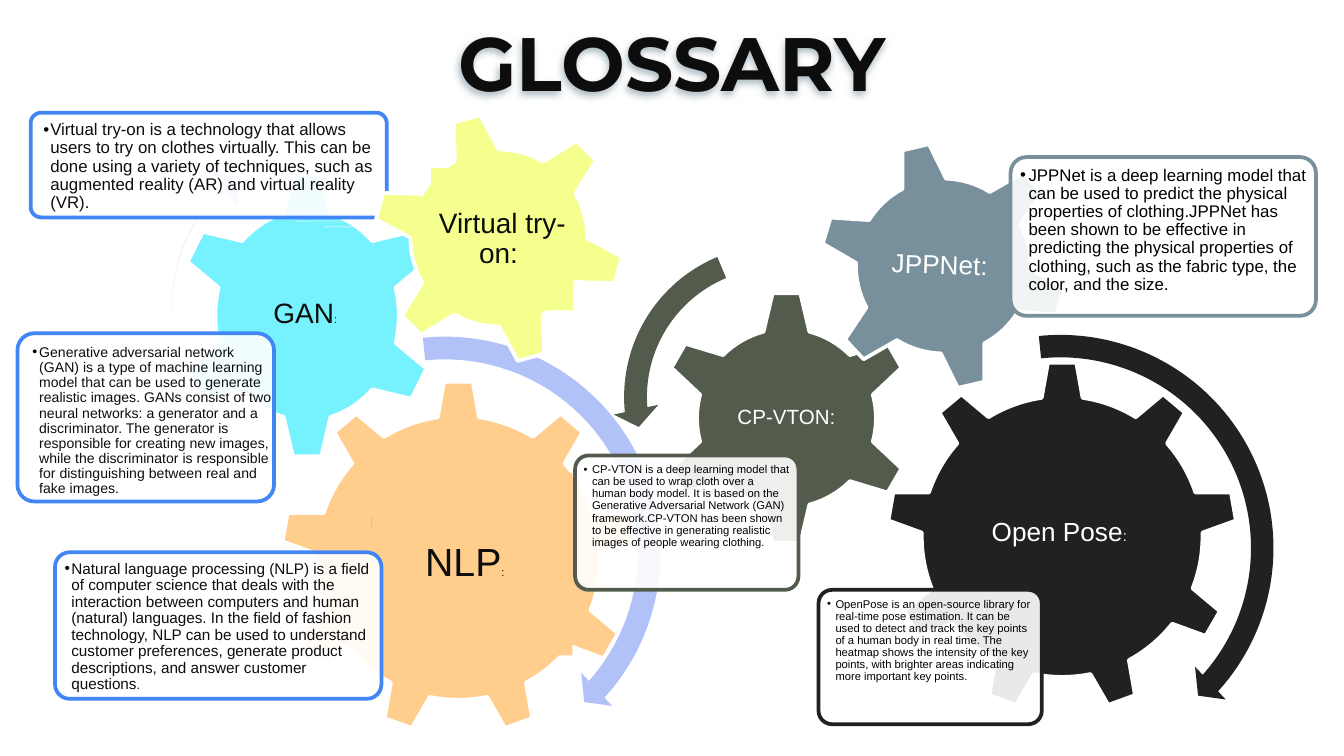
from itertools import chain, repeat

from lxml import etree
from pptx import Presentation
from pptx import util as u
from pptx.dml.color import RGBColor
from pptx.enum import shapes, text
from pptx.oxml import ns

KIND = shapes.MSO_SHAPE
BLUE, INK, BLACK, WHITE = "4285F4", "0D0D0D", "000000", "FFFFFF"
PERIWINKLE, ORANGE, CYAN, YELLOW = "B0C2F8", "FFCD8C", "76F2FF", "F5FF8D"
CHARCOAL, OLIVE, SLATE = "212121", "535B4D", "78909C"


def colour(value):
    return RGBColor.from_string(value)


def apply(target, values):
    for name, value in values.items():
        setattr(target, name, value)


def add_xml(parent, tag, **attributes):
    child = etree.SubElement(parent, ns.qn(tag))
    for name, value in attributes.items():
        child.set(name, str(value))
    return child


def place(shape, box):
    apply(shape, dict(zip(("left", "top", "width", "height"), map(u.Cm, box))))


def add_shape(slide, kind, box, fill, line=None, adjustments=(), rotation=0):
    shape = slide.shapes.add_shape(kind, *map(u.Cm, box))
    apply(shape, {"rotation": rotation})
    shape.shadow.inherit = False
    shape.fill.solid()
    shape.fill.fore_color.rgb = colour(fill)
    if line:
        shape.line.color.rgb = colour(line)
        shape.line.width = u.Pt(2)
    else:
        shape.line.fill.background()
    for index, value in enumerate(adjustments):
        shape.adjustments[index] = value
    return shape


def format_frame(shape, margin, anchor):
    frame = shape.text_frame
    sides = ("left", "top", "right", "bottom")
    apply(frame, {f"margin_{side}": u.Cm(margin) for side in sides})
    apply(frame, {"word_wrap": True, "vertical_anchor": anchor,
                  "auto_size": text.MSO_AUTO_SIZE.NONE})
    return frame


def add_runs(paragraph, runs, font_colour):
    for words, size in runs:
        run = paragraph.add_run()
        run.text = words
        apply(run.font, {"name": "Arial", "size": u.Pt(size), "bold": False})
        run.font.color.rgb = colour(font_colour)


def add_gear(slide, kind, box, fill, label_box, runs, font_colour,
             rotation=0, label_rotation=0):
    """A gear with its name in a box over the hub."""
    add_shape(slide, kind, box, fill, WHITE, rotation=rotation)
    label = add_shape(slide, KIND.RECTANGLE, label_box, fill,
                      rotation=label_rotation)
    if font_colour == WHITE:
        label.fill.background()
    frame = format_frame(label, 0.04, text.MSO_ANCHOR.MIDDLE)
    paragraph = frame.paragraphs[0]
    apply(paragraph, {"alignment": text.PP_ALIGN.CENTER, "line_spacing": 0.9})
    add_runs(paragraph, runs, font_colour)


def add_card(slide, bodies, box, line, text_box, runs, font_colour,
             indent=0.13, margin=0.08):
    """A rounded card with one bulleted definition."""
    card = add_shape(slide, KIND.ROUNDED_RECTANGLE, box, WHITE, line, [0.1])
    fill = card.element.spPr.find(ns.qn("a:solidFill"))
    add_xml(fill[0], "a:alpha", val=90000)

    body = next(bodies) or slide.shapes.add_textbox(0, 0, 0, 0)
    body.element.getparent().append(body.element)  # bring to front
    place(body, text_box)
    frame = format_frame(body, margin, text.MSO_ANCHOR.TOP)
    paragraph = frame.paragraphs[0]
    apply(paragraph, {"level": 1, "line_spacing": 0.9,
                      "alignment": text.PP_ALIGN.LEFT,
                      "space_before": u.Pt(0), "space_after": u.Pt(0)})
    properties = paragraph._p.get_or_add_pPr()
    properties.set("marL", str(u.Cm(indent)))
    properties.set("indent", str(-u.Cm(indent)))
    add_xml(add_xml(properties, "a:buClr"), "a:srgbClr", val=BLACK)
    add_xml(properties, "a:buFont", typeface="Arial")
    add_xml(properties, "a:buChar", char="•")
    add_runs(paragraph, runs, font_colour)


def add_title(slide, words):
    title = slide.shapes.title
    title.element.getparent().append(title.element)
    place(title, (8.1, 0.2, 9.2, 1.93))
    frame = format_frame(title, 0.1, text.MSO_ANCHOR.TOP)
    apply(frame, {"word_wrap": False, "margin_left": u.Cm(0.18),
                  "margin_right": u.Cm(0.18)})
    paragraph = frame.paragraphs[0]
    paragraph.alignment = text.PP_ALIGN.CENTER
    run = paragraph.add_run()
    run.text = words
    apply(run.font, {"name": "Montserrat", "size": u.Pt(40.5), "bold": True})
    run.font.color.rgb = colour(INK)
    # White outline and soft shadow
    properties = run._r.get_or_add_rPr()
    outline = add_xml(properties, "a:ln", w=u.Pt(1.06))
    add_xml(add_xml(outline, "a:solidFill"), "a:srgbClr", val=WHITE)
    properties.insert(0, outline)  # the outline comes before the fill
    effects = add_xml(title.element.spPr, "a:effectLst")
    shadow = add_xml(effects, "a:outerShdw", blurRad=50800, dist=25400,
                     dir=8100000, algn="tr", rotWithShape=0)
    add_xml(add_xml(shadow, "a:srgbClr", val=SLATE), "a:alpha", val=60000)


def main():
    presentation = Presentation()
    apply(presentation, {"slide_width": u.Cm(25.4), "slide_height": u.Cm(14.29)})
    slide = presentation.slides.add_slide(presentation.slide_layouts[4])
    # Four body placeholders, then text boxes for the remaining cards
    bodies = chain(list(slide.placeholders)[1:], repeat(None))
    sweep = [0.05, 2.99, 25.2, 158.53, 0.05]
    left_sweep = [0.07, 4.3, 104.89, 148.38, 0.07]

    # Language processing
    add_shape(slide, KIND.CIRCULAR_ARROW, (2.79, 2.36, 6.73, 6.73), PERIWINKLE,
              adjustments=[0, 3.94, 137.11, 105.08, 0.07])
    add_gear(slide, KIND.GEAR_9, (5.31, 7.19, 6.71, 6.71), ORANGE,
             (6.81, 8.94, 4.01, 3.45), [("NLP", 21), (": ", 6)], INK)
    add_card(slide, bodies, (1.04, 10.44, 6.17, 2.77), BLUE,
             (1.14, 10.52, 5.94, 2.59),
             [("Natural language processing (NLP) is a field of computer science that deals with the interaction between computers and human (natural) languages. In the field of fashion technology, NLP can be used to understand customer preferences, generate product descriptions, and answer customer questions", 8.2), (".", 6.8)], INK)

    # Adversarial networks
    add_gear(slide, KIND.GEAR_6, (3.33, 3.23, 4.95, 5.46), CYAN,
             (4.57, 4.6, 2.46, 2.69), [("GAN", 15), (": ", 6)], INK)
    add_card(slide, bodies, (0.33, 6.3, 4.85, 3.18), BLUE,
             (0.53, 6.45, 4.7, 3),
             [("Generative adversarial network (GAN) is a type of machine learning model that can be used to generate realistic images. GANs consist of two neural networks: a generator and a discriminator. The generator is responsible for creating new images, while the discriminator is responsible for distinguishing between real and fake images.", 7.5)], INK)

    # Virtual try-on card; its gear is added last, in front
    add_card(slide, bodies, (0.58, 2.13, 6.73, 1.98), BLUE,
             (0.74, 2.21, 6.48, 1.85),
             [("Virtual try-on is a technology that allows users to try on clothes virtually. This can be done using a variety of techniques, such as augmented reality (AR) and virtual reality (VR).", 9)], INK)
    add_shape(slide, KIND.CIRCULAR_ARROW, (4.11, 6.15, 8.59, 8.59), PERIWINKLE,
              adjustments=sweep)
    add_shape(slide, KIND.LEFT_CIRCULAR_ARROW, (7.01, 8.86, 0.18, 2.21),
              PERIWINKLE, adjustments=[0.07, 0, 104.89, 148.38, 0.07])

    # Pose estimation
    add_gear(slide, KIND.GEAR_9, (16.76, 6.83, 6.63, 6.63), CHARCOAL,
             (18.08, 8.38, 3.96, 3.4), [("Open Pose", 14), (": ", 8)], WHITE)
    add_card(slide, bodies, (15.47, 11.15, 4.22, 2.54), CHARCOAL,
             (15.55, 11.23, 4.06, 2.39),
             [("OpenPose is an open-source library for real-time pose estimation. It can be used to detect and track the key points of a human body in real time. The heatmap shows the intensity of the key points, with brighter areas indicating more important key points.", 6)], BLACK, 0.16)

    # Cloth warping
    add_gear(slide, KIND.GEAR_6, (12.45, 5.49, 4.83, 4.83), OLIVE,
             (13.67, 6.71, 2.39, 2.39), [("CP-VTON:", 11)], WHITE)
    add_card(slide, bodies, (10.87, 8.61, 4.22, 2.54), OLIVE,
             (10.95, 8.69, 4.06, 2.39),
             [("CP-VTON is a deep learning model that can be used to wrap cloth over a human body model. It is based on the Generative Adversarial Network (GAN) framework.CP-VTON has been shown to be effective in generating realistic images of people wearing clothing.", 6)], BLACK, 0.16)

    # Clothing properties
    add_gear(slide, KIND.GEAR_6, (15.47, 2.67, 4.72, 4.72), SLATE,
             (16.51, 3.71, 2.64, 2.64), [("JPPNet: ", 14)], WHITE, 346.9, 1.9)
    add_card(slide, bodies, (19.1, 2.97, 5.77, 3), SLATE,
             (19.18, 3.05, 5.61, 2.82),
             [("JPPNet is a deep learning model that can be used to predict the physical properties of clothing.JPPNet has been shown to be effective in predicting the physical properties of clothing, such as the fabric type, the color, and the size.", 9)], BLACK, 0.16, 0.1)

    # Turning arrows in front
    add_shape(slide, KIND.CIRCULAR_ARROW, (15.8, 6.12, 8.48, 8.48), CHARCOAL,
              adjustments=sweep)
    add_shape(slide, KIND.LEFT_CIRCULAR_ARROW, (11.58, 4.42, 6.17, 6.17), OLIVE,
              adjustments=left_sweep)
    sliver = add_shape(slide, KIND.LEFT_CIRCULAR_ARROW, (4.29, 4.17, 3.81, 0.13),
                       WHITE, adjustments=[0.06, 3.94, 133.14, 105.08, 0.07])
    sliver.element.spPr.xfrm.set("flipV", "1")

    add_gear(slide, KIND.GEAR_6, (7.04, 2.11, 4.78, 4.78), YELLOW,
             (8.15, 3.18, 2.69, 2.69), [("Virtual try-on: ", 15)], INK, 345)
    add_title(slide, "GLOSSARY")
    presentation.save("out.pptx")


if __name__ == "__main__":
    main()
